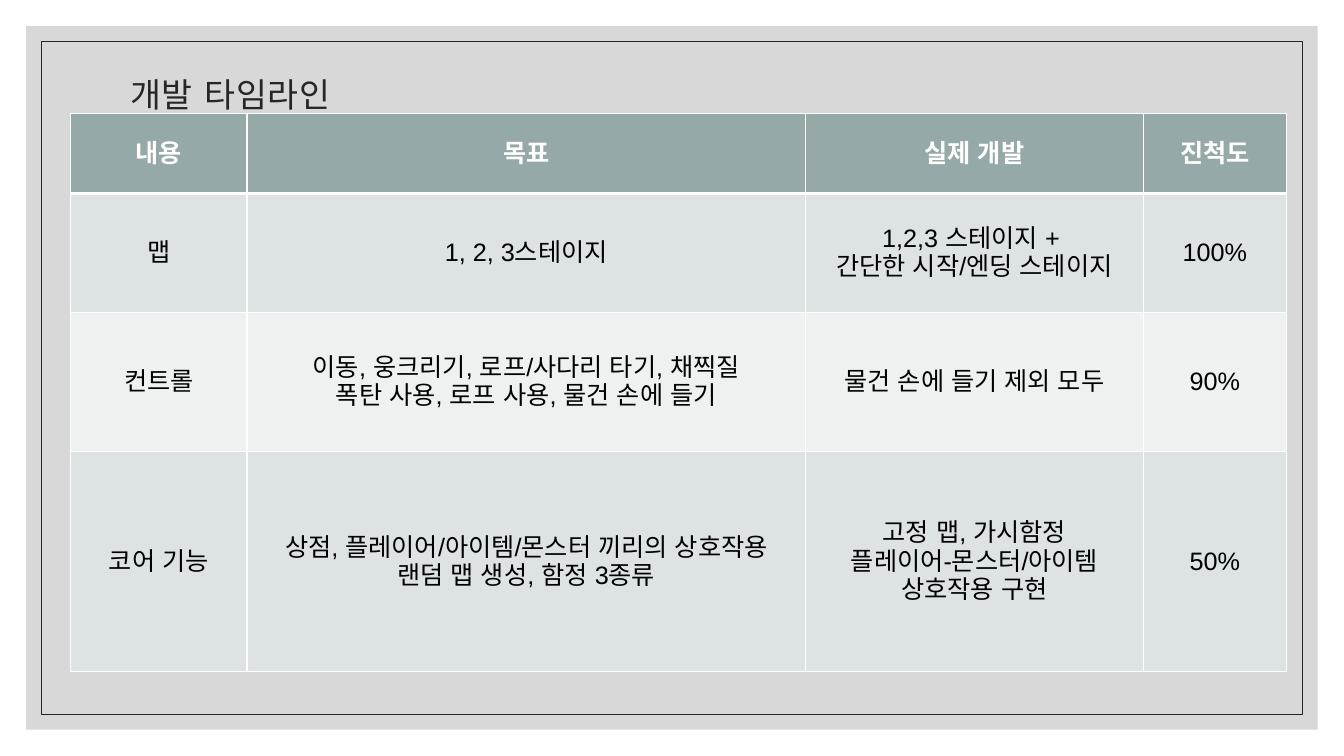
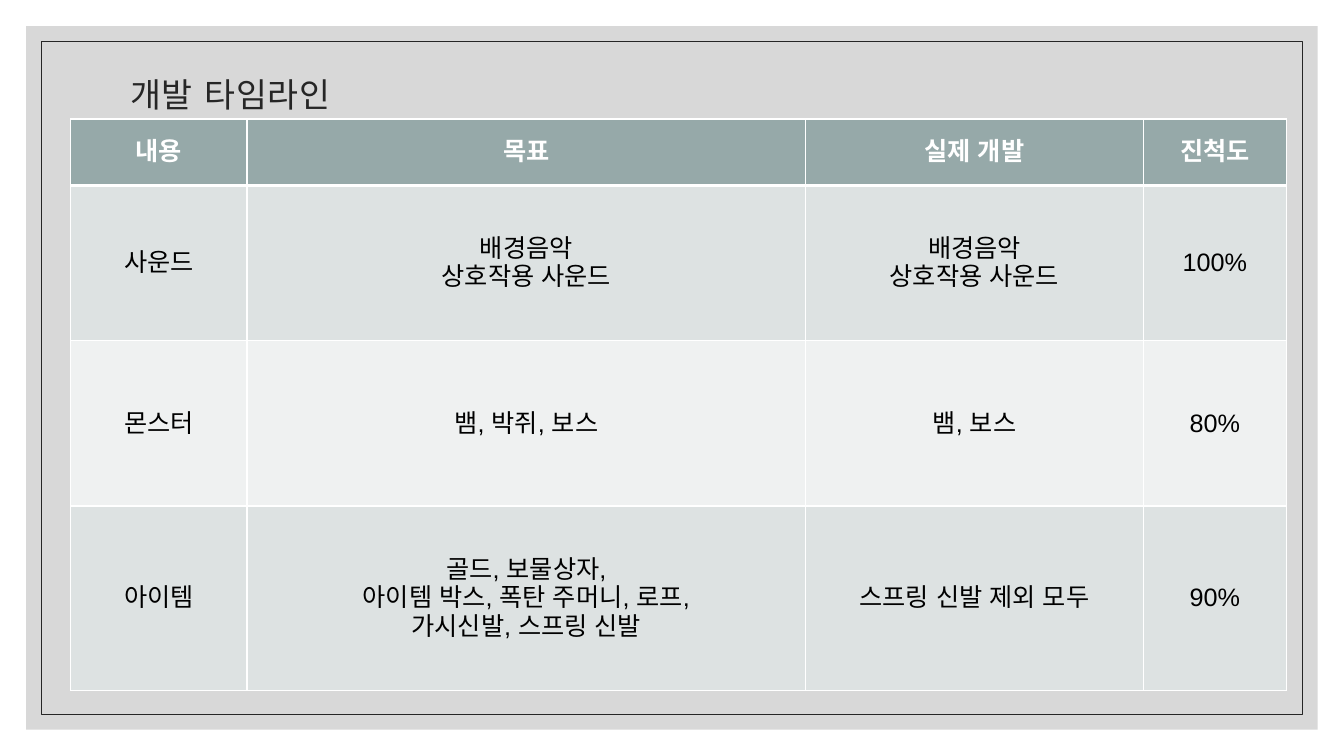
"""Build the two development timeline slides."""
import lxml.etree
import pptx
import pptx.dml.color
import pptx.enum.shapes
import pptx.enum.text
import pptx.oxml
import pptx.oxml.ns
import pptx.util

Inches = pptx.util.Inches
Pt = pptx.util.Pt
Color = pptx.dml.color.RGBColor

BACKDROP = Color(0xBF, 0xBF, 0xBF)
INK = Color(0x26, 0x26, 0x26)
WHITE = Color(0xFF, 0xFF, 0xFF)
BLACK = Color(0x00, 0x00, 0x00)
HEADER = Color(0x96, 0xA9, 0xA9)
BANDS = (Color(0xDD, 0xE2, 0xE2), Color(0xEF, 0xF1, 0xF1))

FONT = "Arial"
SLIDE_SIZE = (13.33, 7.5)
BACKDROP_MARGIN = 0.26
OUTLINE_MARGIN = 0.41
TITLE_BOX = (1.17, 0.7, 11, 0.42)
TITLE = "개발 타임라인"
TABLE_LEFT = 0.7
COLUMN_WIDTHS = (1.75, 5.54, 3.35, 1.42)
HEADINGS = ("내용", "목표", "실제 개발", "진척도")

TIMELINES = (
    {
        "top": 1.13,
        "heights": (0.79, 1.18, 1.38, 2.18),
        "rows": (
            ("맵", "1, 2, 3스테이지", "1,2,3 스테이지 + \n간단한 시작/엔딩 스테이지", "100%"),
            ("컨트롤",
             "이동, 웅크리기, 로프/사다리 타기, 채찍질\n폭탄 사용, 로프 사용, 물건 손에 들기",
             "물건 손에 들기 제외 모두", "90%"),
            ("코어 기능",
             "상점, 플레이어/아이템/몬스터 끼리의 상호작용\n랜덤 맵 생성, 함정 3종류",
             "고정 맵, 가시함정\n플레이어-몬스터/아이템\n상호작용 구현", "50%"),
        ),
    },
    {
        "top": 1.18,
        "heights": (0.66, 1.54, 1.64, 1.83),
        "rows": (
            ("사운드", "배경음악\n상호작용 사운드", "배경음악\n상호작용 사운드", "100%"),
            ("몬스터", "뱀, 박쥐, 보스", "뱀, 보스", "80%"),
            ("아이템",
             "골드, 보물상자,\n아이템 박스, 폭탄 주머니, 로프,\n가시신발, 스프링 신발",
             "스프링 신발 제외 모두", "90%"),
        ),
    },
)


def add_child(parent, tag, **attributes):
    """Append a drawing element to a parent and return it."""
    return lxml.etree.SubElement(parent, pptx.oxml.ns.qn(tag), attributes)


def add_span(para, text, size, color, bold=False):
    """Add one styled run to a paragraph and return it."""
    span = para.add_run()
    span.text = text
    span.font.name = FONT
    span.font.size = Pt(size)
    span.font.bold = bold
    span.font.color.rgb = color
    add_child(span.font._element, "a:ea", typeface=FONT)
    return span


def add_inset_rectangle(page, margin):
    """Add a rectangle inset equally from all slide edges."""
    width, height = SLIDE_SIZE
    box = page.shapes.add_shape(
        pptx.enum.shapes.MSO_SHAPE.RECTANGLE, Inches(margin), Inches(margin),
        Inches(width - 2 * margin), Inches(height - 2 * margin))
    box.shadow.inherit = False
    return box


def add_frame(page):
    """Add the translucent backdrop and the thin outline."""
    backdrop = add_inset_rectangle(page, BACKDROP_MARGIN)
    backdrop.fill.solid()
    backdrop.fill.fore_color.rgb = BACKDROP
    backdrop.line.fill.background()
    color = backdrop._element.spPr.find(".//" + pptx.oxml.ns.qn("a:srgbClr"))
    add_child(color, "a:alpha", val="60000")
    outline = add_inset_rectangle(page, OUTLINE_MARGIN)
    outline.fill.background()
    outline.line.color.rgb = INK
    outline.line.width = Pt(0.5)


def add_title(page, bounds, text):
    """Add the slide title within the given bounds."""
    box = page.shapes.add_textbox(*map(Inches, bounds))
    frame = box.text_frame
    frame.word_wrap = True
    frame.vertical_anchor = pptx.enum.text.MSO_ANCHOR.MIDDLE
    frame.margin_left = frame.margin_right = frame.margin_top = Inches(0.12)
    frame.margin_bottom = Inches(0.1)
    para = frame.paragraphs[0]
    para.line_spacing = 1.05
    span = add_span(para, text, 24, INK)
    span.font._element.set("spc", "70")


def add_borders(cell, top, bottom):
    """Draw white cell borders with the given top and bottom widths."""
    properties = cell._tc.get_or_add_tcPr()
    for side, width in (("L", 1), ("R", 1), ("T", top), ("B", bottom)):
        line = add_child(properties, "a:ln" + side, w=str(Pt(width)))
        fill = add_child(line, "a:solidFill")
        add_child(fill, "a:srgbClr", val=str(WHITE))


def fill_cell(cell, text, row):
    """Style a table cell by its row and write its lines."""
    is_header = row == 0
    add_borders(cell, 3 if row == 1 else 1, 3 if is_header else 1)
    cell.fill.solid()
    cell.fill.fore_color.rgb = HEADER if is_header else BANDS[(row - 1) % 2]
    cell.vertical_anchor = pptx.enum.text.MSO_ANCHOR.MIDDLE
    frame = cell.text_frame
    for index, line in enumerate(text.split("\n")):
        para = frame.add_paragraph() if index else frame.paragraphs[0]
        para.alignment = pptx.enum.text.PP_ALIGN.CENTER
        add_span(para, line, 18, WHITE if is_header else BLACK, is_header)


def add_timeline(page, left, top, heights, rows):
    """Add the progress table at the given position."""
    table = page.shapes.add_table(
        len(heights), len(COLUMN_WIDTHS), Inches(left), Inches(top),
        Inches(sum(COLUMN_WIDTHS)), Inches(sum(heights))).table
    table.horz_banding = False
    for column, width in zip(table.columns, COLUMN_WIDTHS):
        column.width = Inches(width)
    for row, (height, texts) in enumerate(zip(heights, (HEADINGS, *rows))):
        table.rows[row].height = Inches(height)
        for column, text in enumerate(texts):
            fill_cell(table.cell(row, column), text, row)


def add_timeline_page(deck, timeline):
    """Add a slide with the frame, the title and one timeline."""
    page = deck.slides.add_slide(deck.slide_layouts[6])
    add_frame(page)
    add_title(page, TITLE_BOX, TITLE)
    add_timeline(page, TABLE_LEFT, **timeline)


def main():
    """Build and save the deck."""
    deck = pptx.Presentation()
    deck.slide_width, deck.slide_height = map(Inches, SLIDE_SIZE)
    for timeline in TIMELINES:
        add_timeline_page(deck, timeline)
    deck.save("out.pptx")


if __name__ == "__main__":
    main()
